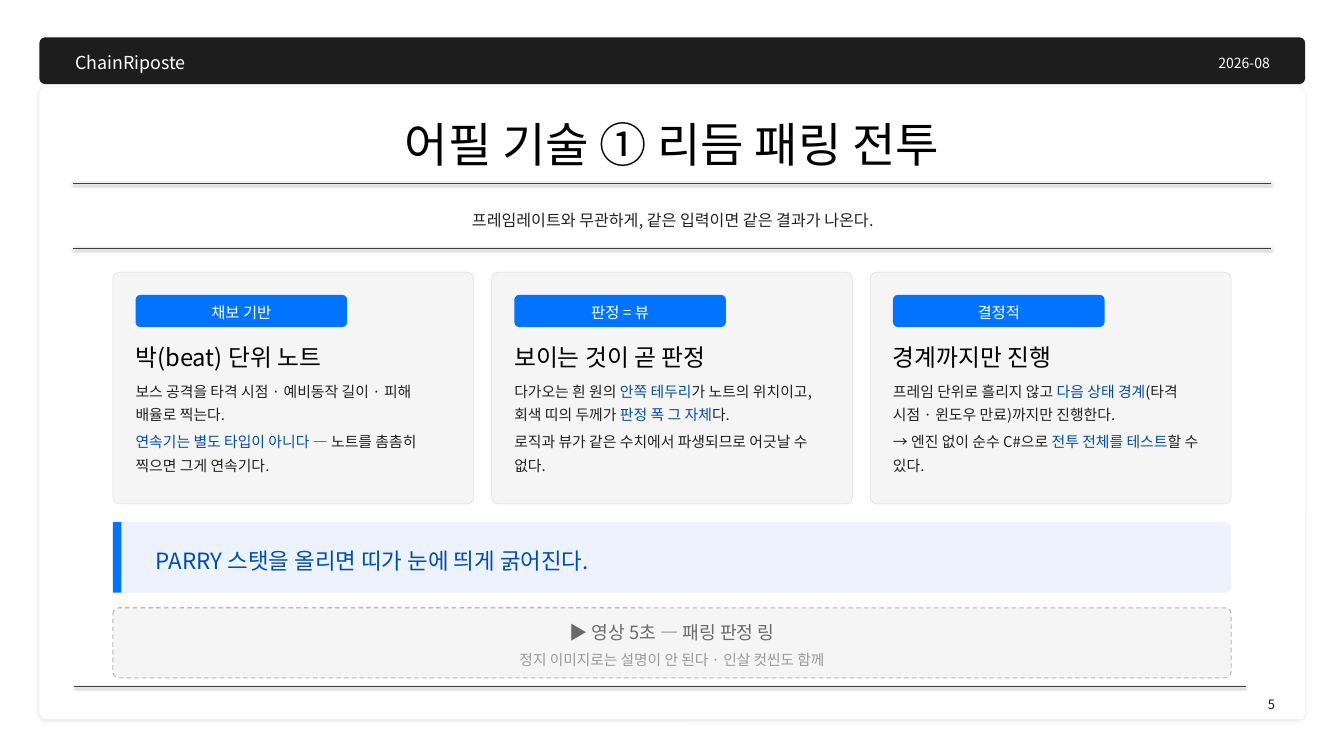
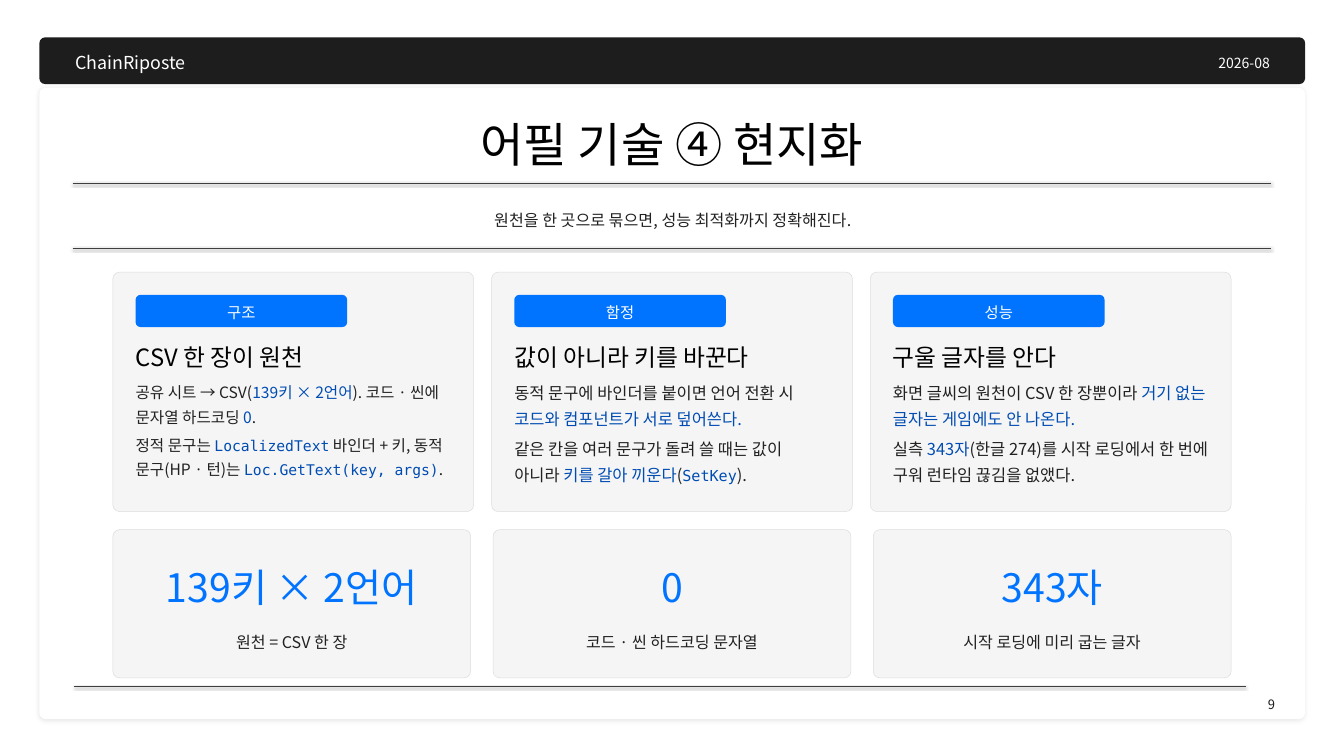
from dataclasses import dataclass

from lxml.etree import SubElement
from pptx import Presentation
from pptx.dml.color import RGBColor
from pptx.enum.dml import MSO_LINE
from pptx.enum.shapes import MSO_CONNECTOR, MSO_SHAPE, MSO_SHAPE_TYPE
from pptx.enum.text import MSO_ANCHOR, MSO_AUTO_SIZE, PP_ALIGN
from pptx.oxml.ns import qn
from pptx.util import Inches, Pt


@dataclass(frozen=True)
class Theme:
    font: str = "Noto Sans CJK KR"
    code_font: str = "DejaVu Sans Mono"
    white: str = "FFFFFF"
    black: str = "000000"
    ink: str = "1D1D1D"
    body: str = "212121"
    rule: str = "3F3F3F"
    card: str = "F5F5F5"
    border: str = "DDDDDD"
    dash: str = "B8B8B8"
    hint: str = "6A6A6A"
    faint: str = "999999"
    accent: str = "0073FF"
    key: str = "004CB3"
    pale: str = "ECF3FF"
    title_size: float = 67.5
    stat_size: float = 56
    heading_size: float = 34
    callout_size: float = 32
    media_size: float = 26
    brand_size: float = 25.5
    lead_size: float = 23
    badge_size: float = 22
    note_size: float = 21
    date_size: float = 20
    page_size: float = 18.5


theme = Theme()
LEFT, CARD_TOP, CONTENT_WIDTH = 2.24, 5.4, 22.19
CARD_WIDTH, STAT_WIDTH, PADDING = 7.16, 7.1, 0.45
CENTER, RIGHT = PP_ALIGN.CENTER, PP_ALIGN.RIGHT
MIDDLE = MSO_ANCHOR.MIDDLE


def add_panel(slide, place, fill, border=None, radius=0.13, border_width=0.75):
    """Add a box at (left, top, width, height); radius 0 gives square corners."""
    kind = MSO_SHAPE.ROUNDED_RECTANGLE if radius else MSO_SHAPE.RECTANGLE
    shape = slide.shapes.add_shape(kind, *map(Inches, place))
    if radius:
        shape.adjustments[0] = radius / min(place[2:])
    shape.fill.solid()
    shape.fill.fore_color.rgb = RGBColor.from_string(fill)
    if border:
        shape.line.color.rgb = RGBColor.from_string(border)
        shape.line.width = Pt(border_width)
    else:
        shape.line.fill.background()
    shape.shadow.inherit = False
    return shape


def add_text(slide, target, runs, size, color, align=PP_ALIGN.LEFT, anchor=MSO_ANCHOR.TOP,
             spacing=1.22, before=None, after=None, code_size=None):
    """Append a paragraph to target, a shape or the place of a new text box.

    Each run is a plain string or a pair of text and style, "key" or "code".
    """
    if isinstance(target, tuple):
        target = slide.shapes.add_textbox(*map(Inches, target))
    frame = target.text_frame
    frame.word_wrap = True
    frame.vertical_anchor = anchor
    is_text_box = target.shape_type == MSO_SHAPE_TYPE.TEXT_BOX
    frame.auto_size = MSO_AUTO_SIZE.SHAPE_TO_FIT_TEXT if is_text_box else MSO_AUTO_SIZE.NONE
    frame.margin_left = frame.margin_right = Inches(0 if is_text_box else 0.18)
    frame.margin_top = frame.margin_bottom = 0

    paragraph = frame.paragraphs[0]
    if paragraph.runs:
        paragraph = frame.add_paragraph()
    paragraph.alignment = align
    paragraph.line_spacing = spacing
    if before is not None:
        paragraph.space_before = Pt(before)
    if after is not None:
        paragraph.space_after = Pt(after)
    for item in runs:
        text, style = (item, "plain") if isinstance(item, str) else item
        run = paragraph.add_run()
        run.text = text
        font = run.font
        font.size = Pt(code_size if style == "code" else size)
        font.color.rgb = RGBColor.from_string(color if style == "plain" else theme.key)
        font.name = theme.code_font if style == "code" else theme.font
        SubElement(run._r.get_or_add_rPr(), qn("a:ea")).set("typeface", font.name)
    return target


# Each card: badge, heading, body size, code size, paragraphs of runs
pages = [
    {
        "number": "5",
        "title": "어필 기술 ① 리듬 패링 전투",
        "lead": "프레임레이트와 무관하게, 같은 입력이면 같은 결과가 나온다.",
        "card_height": 4.6,
        "cards": [
            ("채보 기반", "박(beat) 단위 노트", 21.2, None, [
                ["보스 공격을 타격 시점 · 예비동작 길이 · 피해 배율로 찍는다."],
                [("연속기는 별도 타입이 아니다", "key"), " — 노트를 촘촘히 찍으면 그게 연속기다."],
            ]),
            ("판정 = 뷰", "보이는 것이 곧 판정", 21.2, None, [
                ["다가오는 흰 원의 ", ("안쪽 테두리", "key"),
                 "가 노트의 위치이고, 회색 띠의 두께가 ", ("판정 폭 그 자체", "key"), "다."],
                ["로직과 뷰가 같은 수치에서 파생되므로 어긋날 수 없다."],
            ]),
            ("결정적", "경계까지만 진행", 21.2, None, [
                ["프레임 단위로 흘리지 않고 ", ("다음 상태 경계", "key"),
                 "(타격 시점 · 윈도우 만료)까지만 진행한다."],
                ["→ 엔진 없이 순수 C#으로 ", ("전투 전체를 테스트", "key"), "할 수 있다."],
            ]),
        ],
        "callout": "PARRY 스탯을 올리면 띠가 눈에 띄게 굵어진다.",
        "media": ("▶ 영상 5초 — 패링 판정 링", "정지 이미지로는 설명이 안 된다 · 인살 컷씬도 함께"),
        "stats": [],
    },
    {
        "number": "9",
        "title": "어필 기술 ④ 현지화",
        "lead": "원천을 한 곳으로 묶으면, 성능 최적화까지 정확해진다.",
        "card_height": 4.75,
        "cards": [
            ("구조", "CSV 한 장이 원천", 22.3, 21, [
                ["공유 시트 → CSV(", ("139키 × 2언어", "key"),
                 "). 코드 · 씬에 문자열 하드코딩 ", ("0", "key"), "."],
                ["정적 문구는 ", ("LocalizedText", "code"), " 바인더 + 키, 동적 문구(HP · 턴)는 ",
                 ("Loc.GetText(key, args)", "code"), "."],
            ]),
            ("함정", "값이 아니라 키를 바꾼다", 23.5, 21.6, [
                ["동적 문구에 바인더를 붙이면 언어 전환 시 ",
                 ("코드와 컴포넌트가 서로 덮어쓴다.", "key")],
                ["같은 칸을 여러 문구가 돌려 쓸 때는 값이 아니라 ", ("키를 갈아 끼운다", "key"),
                 "(", ("SetKey", "code"), ")."],
            ]),
            ("성능", "구울 글자를 안다", 23.5, None, [
                ["화면 글씨의 원천이 CSV 한 장뿐이라 ",
                 ("거기 없는 글자는 게임에도 안 나온다.", "key")],
                ["실측 ", ("343자", "key"),
                 "(한글 274)를 시작 로딩에서 한 번에 구워 런타임 끊김을 없앴다."],
            ]),
        ],
        "callout": None,
        "media": None,
        "stats": [
            ("139키 × 2언어", "원천 = CSV 한 장"),
            ("0", "코드 · 씬 하드코딩 문자열"),
            ("343자", "시작 로딩에 미리 굽는 글자"),
        ],
    },
]

presentation = Presentation()
presentation.slide_width = Inches(26.67)
presentation.slide_height = Inches(15)

for page in pages:
    slide = presentation.slides.add_slide(presentation.slide_layouts[6])

    # Sheet, header band and footer
    sheet = add_panel(slide, (0.78, 1.74, 25.12, 12.53), theme.white)
    shadowed = [(sheet, 9, 6, 2)]
    add_panel(slide, (0.78, 0.74, 25.12, 0.93), theme.ink, radius=0.12)
    add_text(slide, (1.49, 0.94, 6, 0.55), ["ChainRiposte"], theme.brand_size, theme.white)
    add_text(slide, (18.9, 1, 6.3, 0.45), ["2026-08"], theme.date_size, theme.white, RIGHT)
    add_text(slide, (19.4, 13.75, 5.9, 0.45), [page["number"]], theme.page_size, theme.ink, RIGHT)

    # Title and lead between rules
    add_text(slide, (4.21, 2.06, 18.25, 1.35), [page["title"]],
             theme.title_size, theme.black, CENTER, MIDDLE)
    add_text(slide, (2.6, 4.02, 21.5, 0.62), [page["lead"]],
             theme.lead_size, theme.body, CENTER, MIDDLE)
    for start, end, y, width in [(1.44, 25.23, 3.64, 1.25), (1.44, 25.23, 4.93, 1.25),
                                 (1.46, 24.72, 13.62, 1.1)]:
        rule = slide.shapes.add_connector(
            MSO_CONNECTOR.STRAIGHT, Inches(start), Inches(y), Inches(end), Inches(y))
        rule.line.color.rgb = RGBColor.from_string(theme.rule)
        rule.line.width = Pt(width)
        shadowed.append((rule, 38, 3.1, 1.6))

    for shape, opacity, blur, distance in shadowed:
        properties = shape._element.spPr
        effects = properties.find(qn("a:effectLst"))
        if effects is None:
            effects = SubElement(properties, qn("a:effectLst"))
        shadow = SubElement(effects, qn("a:outerShdw"), blurRad=str(Pt(blur)),
                            dist=str(Pt(distance)), dir=str(90 * 60000), rotWithShape="0")
        shadow_color = SubElement(shadow, qn("a:srgbClr"), val=theme.black)
        SubElement(shadow_color, qn("a:alpha"), val=str(opacity * 1000))

    # Three cards
    height = page["card_height"]
    inner_width = CARD_WIDTH - 2 * PADDING
    for column, (badge, heading, size, code_size, paragraphs) in enumerate(page["cards"]):
        left = LEFT + column * (CONTENT_WIDTH - CARD_WIDTH) / 2
        inner_left = left + PADDING
        add_panel(slide, (left, CARD_TOP, CARD_WIDTH, height), theme.card, theme.border)
        badge_shape = add_panel(slide, (inner_left, CARD_TOP + PADDING, 4.2, 0.64),
                                theme.accent, radius=0.1)
        add_text(slide, badge_shape, [badge], theme.badge_size, theme.white,
                 CENTER, MIDDLE, spacing=1.15)
        add_text(slide, (inner_left, 6.67, inner_width, 0.72), [heading],
                 theme.heading_size, theme.black)
        target = (inner_left, 7.49, inner_width, height - 2.54)
        for runs in paragraphs:
            target = add_text(slide, target, runs, size, theme.body, spacing=1.3,
                              after=round(size * 0.27, 1), code_size=code_size)

    if page["callout"]:
        add_panel(slide, (LEFT, 10.36, CONTENT_WIDTH, 1.4), theme.pale)
        add_panel(slide, (LEFT, 10.36, 0.17, 1.4), theme.accent, radius=0)
        add_text(slide, (3.09, 10.58, 20.49, 0.96), [page["callout"]],
                 theme.callout_size, theme.key, anchor=MIDDLE)

    if page["media"]:
        caption, note = page["media"]
        media = add_panel(slide, (LEFT, 12.06, CONTENT_WIDTH, 1.39), theme.card, theme.dash,
                          radius=0.12, border_width=1.6)
        media.line.dash_style = MSO_LINE.DASH
        add_text(slide, media, [caption], theme.media_size, theme.hint,
                 CENTER, MIDDLE, spacing=1.15)
        add_text(slide, media, [note], theme.note_size, theme.faint,
                 CENTER, MIDDLE, spacing=1.15, before=7)

    for column, (value, label) in enumerate(page["stats"]):
        left = LEFT + column * (CONTENT_WIDTH - STAT_WIDTH) / 2
        add_panel(slide, (left, 10.51, STAT_WIDTH, 2.94), theme.card, theme.border)
        add_text(slide, (left + 0.3, 10.81, 6.5, 1.47), [value],
                 theme.stat_size, theme.accent, CENTER, MIDDLE)
        add_text(slide, (left + 0.3, 12.13, 6.5, 1.12), [label],
                 theme.lead_size, theme.body, CENTER, MIDDLE)

presentation.save("out.pptx")
